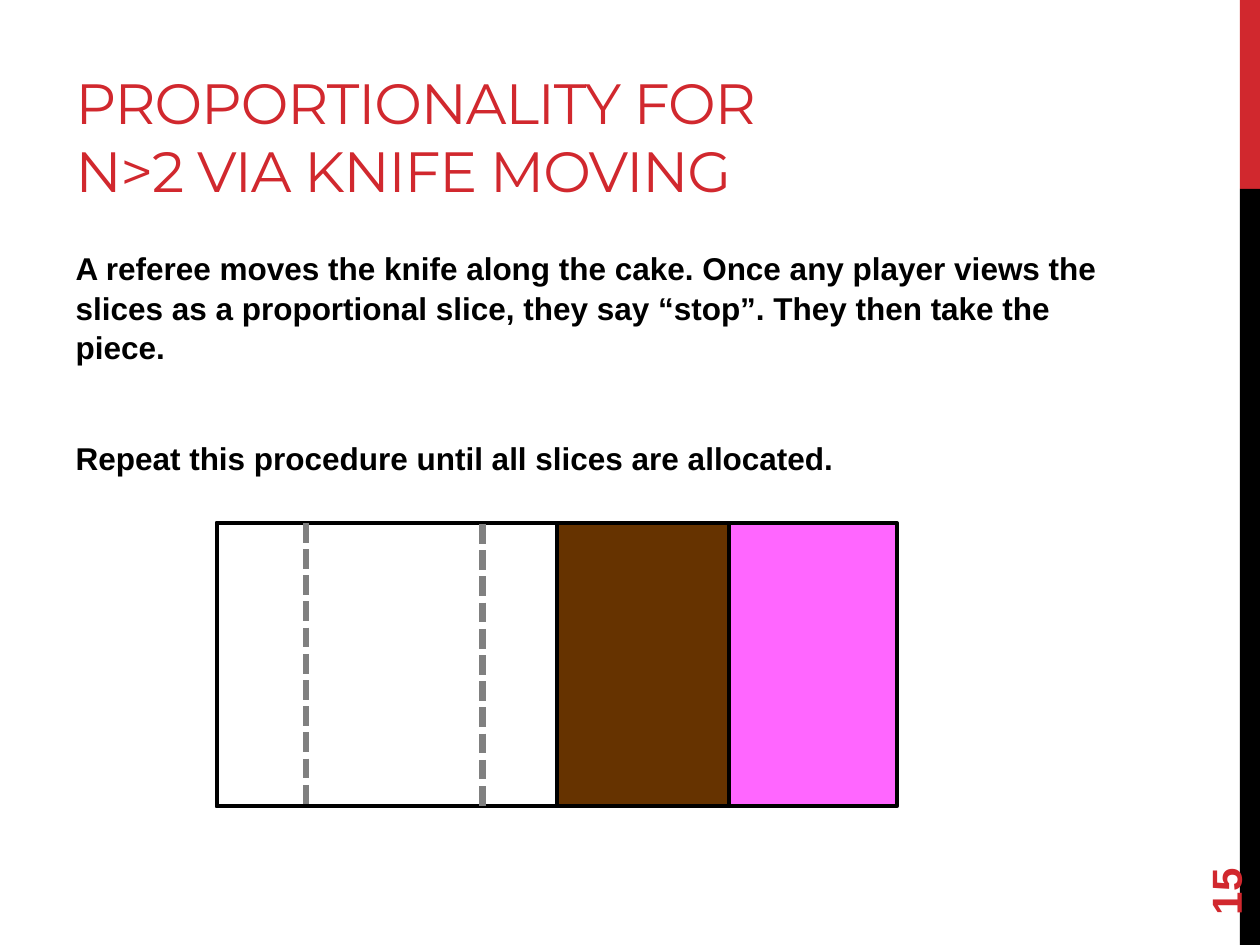
import pptx
import pptx.dml.color
import pptx.enum.dml
import pptx.enum.shapes
import pptx.enum.text
import pptx.oxml.ns
import pptx.util
import lxml.etree

Pt = pptx.util.Pt
RGB = pptx.dml.color.RGBColor
qn = pptx.oxml.ns.qn
Anchor = pptx.enum.text.MSO_ANCHOR
Align = pptx.enum.text.PP_ALIGN

HUES = {
    "red": "D1282E",
    "black": "000000",
    "white": "FFFFFF",
    "pink": "FF66FF",
    "brown": "663300",
    "gray": "808080",
}


def paint(target, name):
    target.rgb = RGB.from_string(HUES[name])


def place(shape, box):
    shape.left, shape.top, shape.width, shape.height = map(Pt, box)


def write(para, text, font, size, hue, bold=False):
    run = para.add_run()
    run.text = text
    run.font.name = font
    run.font.size = Pt(size)
    run.font.bold = bold
    paint(run.font.color, hue)
    return run


def block(slide, box, hue, edge=None):
    kind = pptx.enum.shapes.MSO_SHAPE.RECTANGLE
    shape = slide.shapes.add_shape(kind, *map(Pt, box))
    shape.shadow.inherit = False
    shape.fill.solid()
    paint(shape.fill.fore_color, hue)
    if edge:
        paint(shape.line.color, edge)
        shape.line.width = Pt(2.25)
    else:
        shape.line.fill.background()


def add_band(slide, box):
    left, top, width, height = box
    split = height / 5
    block(slide, (left, top, width, split), "red")
    block(slide, (left, top + split, width, height - split), "black")


def add_title(slide, box):
    title = slide.shapes.title
    place(title, box)
    frame = title.text_frame
    frame.auto_size = pptx.enum.text.MSO_AUTO_SIZE.NONE
    frame.vertical_anchor = Anchor.BOTTOM
    para = frame.paragraphs[0]
    para.alignment = Align.LEFT
    text = "PROPORTIONALITY FOR N>2 VIA KNIFE MOVING"
    run = write(para, text, "Montserrat", 32.4, "red")
    run.font._element.set("spc", "-60")


def add_body(slide, box):
    body = slide.placeholders[1]
    place(body, box)
    frame = body.text_frame
    frame.auto_size = pptx.enum.text.MSO_AUTO_SIZE.NONE
    lines = (
        "A referee moves the knife along the cake. Once any player views the "
        "slices as a proportional slice, they say “stop”. They then take the piece.",
        "Repeat this procedure until all slices are allocated.",
    )
    for index, text in enumerate(lines):
        para = frame.add_paragraph() if index else frame.paragraphs[0]
        props = para._p.get_or_add_pPr()
        props.set("marL", "0")
        props.set("indent", "0")
        lxml.etree.SubElement(props, qn("a:buNone"))
        para.line_spacing = 1.04
        para.space_before = Pt(41 if index else 0)
        write(para, text, "Arial", 18, "black", True)


def add_page(slide, box):
    page = slide.shapes.add_textbox(*map(Pt, box))
    page.rotation = 270
    frame = page.text_frame
    frame.word_wrap = True
    frame.vertical_anchor = Anchor.MIDDLE
    write(frame.paragraphs[0], "15", "Arial", 24, "red", True)


def add_cake(slide, box):
    left, top, width, height = box
    half = width / 2
    block(slide, box, "pink", "black")
    block(slide, (left, top, half, height), "white", "black")
    block(slide, (left + half, top, 98.6, height), "brown", "black")
    kind = pptx.enum.shapes.MSO_CONNECTOR.STRAIGHT
    for shift, drop in ((51.2, 0), (152, 0.7)):
        x, y = left + shift, top + drop
        knife = slide.shapes.add_connector(kind, *map(Pt, (x, y, x, y + height)))
        paint(knife.line.color, "gray")
        knife.line.width = Pt(3.75)
        knife.line.dash_style = pptx.enum.dml.MSO_LINE.SQUARE_DOT
        lxml.etree.SubElement(knife._element.spPr, qn("a:effectLst"))


def main():
    deck = pptx.Presentation()
    deck.slide_width, deck.slide_height = Pt(720), Pt(540)
    slide = deck.slides.add_slide(deck.slide_layouts[1])
    add_band(slide, (708.5, 0, 11.5, 540))
    add_title(slide, (36, 12, 456, 108))
    add_body(slide, (36, 138, 600, 158))
    add_page(slide, (648, 463.5, 104, 29))
    add_cake(slide, (123.8, 298.8, 388.8, 162))
    deck.save("out.pptx")


if __name__ == "__main__":
    main()
